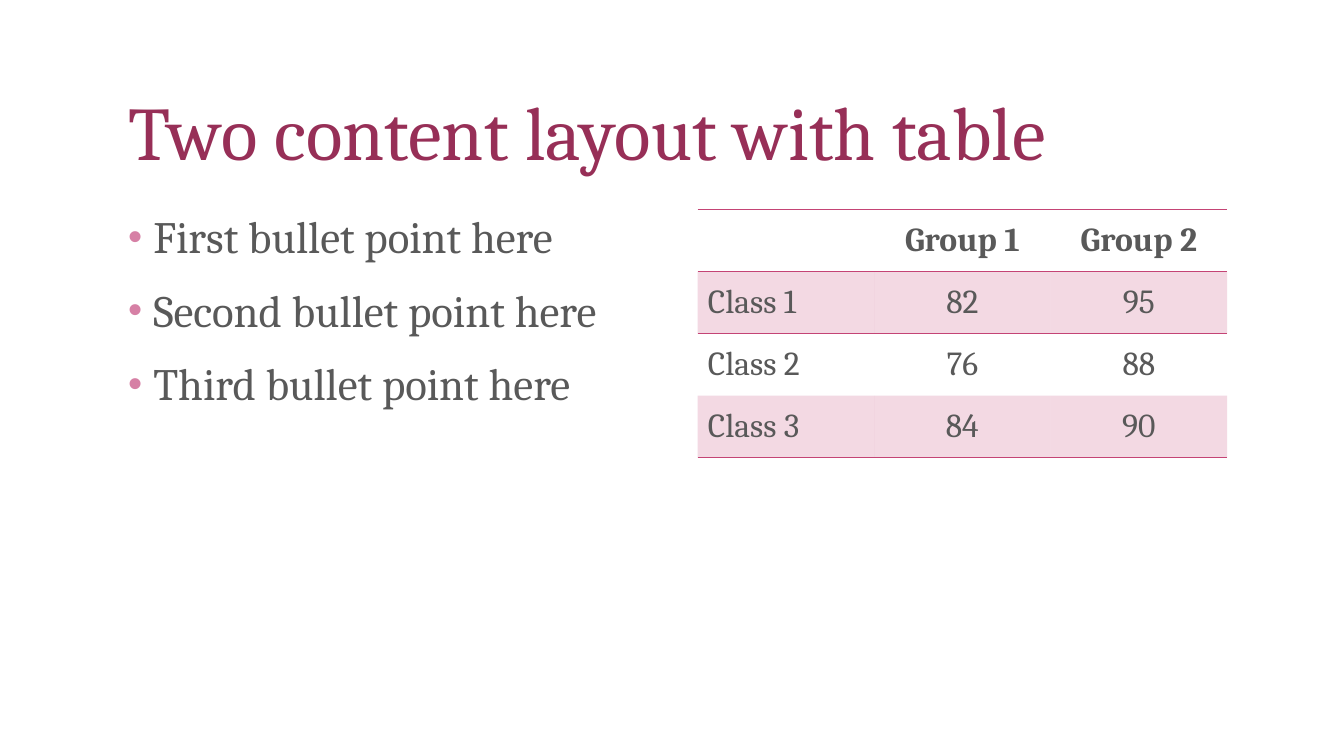
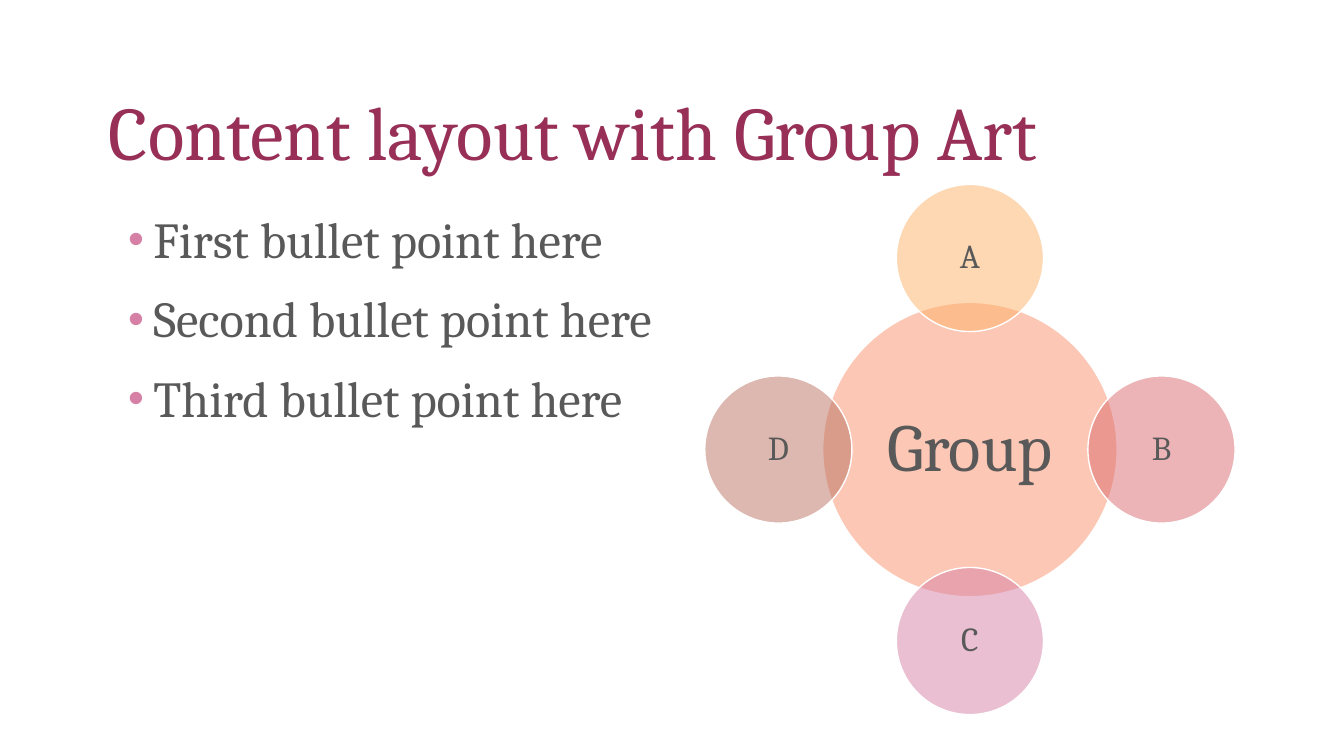
from math import cos, radians, sin

from pptx import Presentation
from pptx.dml.color import RGBColor
from pptx.enum.shapes import MSO_SHAPE
from pptx.enum.text import MSO_ANCHOR, MSO_AUTO_SIZE, PP_ALIGN
from pptx.oxml.ns import qn
from pptx.oxml.xmlchemy import OxmlElement
from pptx.util import Inches, Pt

TITLE, TEXT, ACCENT, BULLET, WHITE = "972F57", "595959", "C44475", "D680A5", "FFFFFF"
FONT = "Cambria"
NO_STYLE = "{2D5ABB26-0587-4C30-8999-92F81FD0307C}"

BULLETS = ["First bullet point here", "Second bullet point here", "Third bullet point here"]
SLIDES = [
    {"title": "Two content layout with table", "title_box": (1.17, 0.5, 11, 1.3),
     "body_box": (1.17, 2.08, 5.25, 4.67), "size": 32},
    {"title": "Content layout with Group Art", "title_box": (0.98, 0.5, 11.19, 1.3),
     "body_box": (1.17, 2.08, 5.69, 4.67), "size": 36},
]
TABLE = [
    ["", "Group 1", "Group 2"],
    ["Class 1", "82", "95"],
    ["Class 2", "76", "88"],
    ["Class 3", "84", "90"],
]
TABLE_BOX = (6.92, 2.08, 5.25, 2.46)
HUB = {"text": "Group", "color": "FA906A", "diameter": 2.92, "size": 48, "inset": 0.07}
SATELLITE = {"diameter": 1.46, "size": 24, "inset": 0.03}
SATELLITES = [("A", "FCB268"), ("B", "DB6B70"), ("C", "D680A5"), ("D", "BA7362")]
CENTER_X, CENTER_Y, ORBIT = 9.62, 4.46, 1.9


def rgb(color):
    return RGBColor.from_string(color)


def apply(obj, **values):
    for name, value in values.items():
        setattr(obj, name, value)


def box(values):
    return [Inches(v) for v in values]


def add_node(parent, tag, **attrs):
    node = OxmlElement(tag)
    for name, value in attrs.items():
        node.set(name, str(value))
    parent.append(node)
    return node


def set_fill(fill, parent, color, alpha):
    fill.solid()
    fill.fore_color.rgb = rgb(color)
    add_node(parent.find(qn("a:solidFill"))[0], "a:alpha", val=alpha * 1000)


def write(p, text, size, color=TEXT, align=PP_ALIGN.LEFT, bold=False, spacing=0.9):
    apply(p, alignment=align, line_spacing=spacing)
    r = p.add_run()
    r.text = text
    apply(r.font, name=FONT, size=Pt(size), bold=bold)
    r.font.color.rgb = rgb(color)


def place(sp, values, anchor):
    sp.left, sp.top, sp.width, sp.height = box(values)
    apply(sp.text_frame, word_wrap=True, auto_size=MSO_AUTO_SIZE.NONE, vertical_anchor=anchor)
    return sp.text_frame


def add_bullet(p):
    pPr = p._p.get_or_add_pPr()
    for name, value in {"marL": 0.25, "indent": -0.25}.items():
        pPr.set(name, str(Inches(value)))
    add_node(add_node(pPr, "a:buClr"), "a:srgbClr", val=BULLET)
    add_node(pPr, "a:buSzPct", val=90000)
    add_node(pPr, "a:buFont", typeface="Arial")
    add_node(pPr, "a:buChar", char="•")


def add_slide(prs, spec):
    s = prs.slides.add_slide(prs.slide_layouts[1])
    tf = place(s.shapes.title, spec["title_box"], MSO_ANCHOR.BOTTOM)
    write(tf.paragraphs[0], spec["title"], 54, TITLE)
    tf = place(s.placeholders[1], spec["body_box"], MSO_ANCHOR.TOP)
    for i, text in enumerate(BULLETS):
        p = tf.add_paragraph() if i else tf.paragraphs[0]
        write(p, text, spec["size"])
        p.space_before = Pt(18)
        add_bullet(p)
    return s


def add_border(tcPr, side):
    ln = add_node(tcPr, side, w=Pt(1), cap="flat", cmpd="sng", algn="ctr")
    add_node(add_node(ln, "a:solidFill"), "a:srgbClr", val=ACCENT)
    add_node(ln, "a:prstDash", val="solid")


def add_scores(s):
    rows, cols = len(TABLE), len(TABLE[0])
    table = s.shapes.add_table(rows, cols, *box(TABLE_BOX)).table
    apply(table, first_row=True, horz_banding=False)
    table._tbl.tblPr.find(qn("a:tableStyleId")).text = NO_STYLE
    for i, row in enumerate(TABLE):
        for j, text in enumerate(row):
            cell = table.cell(i, j)
            cell.vertical_anchor = MSO_ANCHOR.MIDDLE
            tcPr = cell._tc.get_or_add_tcPr()
            if i in (0, 1):
                add_border(tcPr, "a:lnT")
            if i in (0, rows - 1):
                add_border(tcPr, "a:lnB")
            if i % 2:
                set_fill(cell.fill, tcPr, ACCENT, 20)
            else:
                cell.fill.background()
            if text:
                align = PP_ALIGN.CENTER if j else PP_ALIGN.LEFT
                write(cell.text_frame.paragraphs[0], text, 24, align=align, bold=i == 0, spacing=1.0)


def add_circle(s, x, y, text, color, diameter, size, inset):
    values = (x - diameter / 2, y - diameter / 2, diameter, diameter)
    sp = s.shapes.add_shape(MSO_SHAPE.OVAL, *box(values))
    sp.shadow.inherit = False
    set_fill(sp.fill, sp._element.spPr, color, 50)
    sp.line.color.rgb = rgb(WHITE)
    sp.line.width = Pt(1)
    tf = place(sp, values, MSO_ANCHOR.MIDDLE)
    for side in ("left", "top", "right", "bottom"):
        setattr(tf, f"margin_{side}", Inches(inset))
    write(tf.paragraphs[0], text, size, align=PP_ALIGN.CENTER)


def add_radial(s):
    add_circle(s, CENTER_X, CENTER_Y, **HUB)
    for i, (text, color) in enumerate(SATELLITES):
        angle = radians(360 / len(SATELLITES) * i - 90)
        x, y = CENTER_X + ORBIT * cos(angle), CENTER_Y + ORBIT * sin(angle)
        add_circle(s, x, y, text, color, **SATELLITE)


def main():
    prs = Presentation()
    apply(prs, slide_width=Inches(13.33), slide_height=Inches(7.5))
    for spec, draw in zip(SLIDES, (add_scores, add_radial)):
        draw(add_slide(prs, spec))
    prs.save("out.pptx")


if __name__ == "__main__":
    main()
